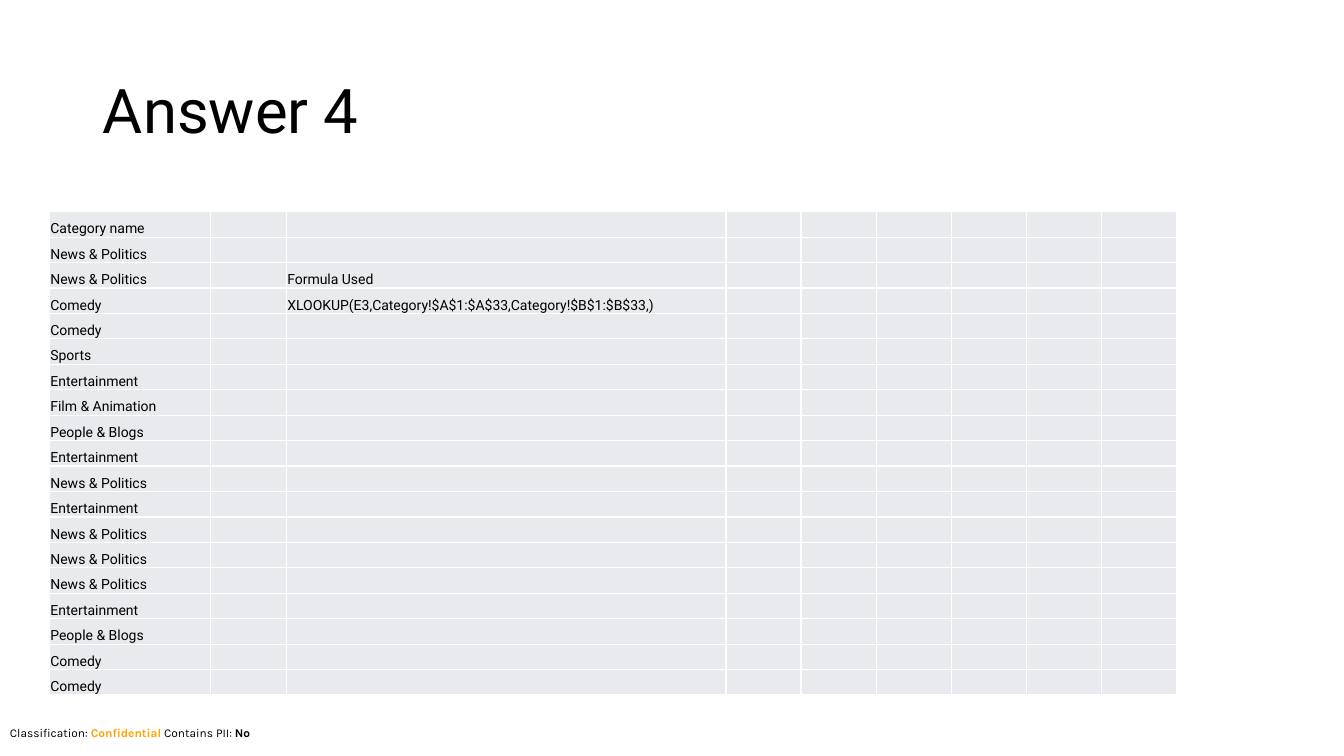
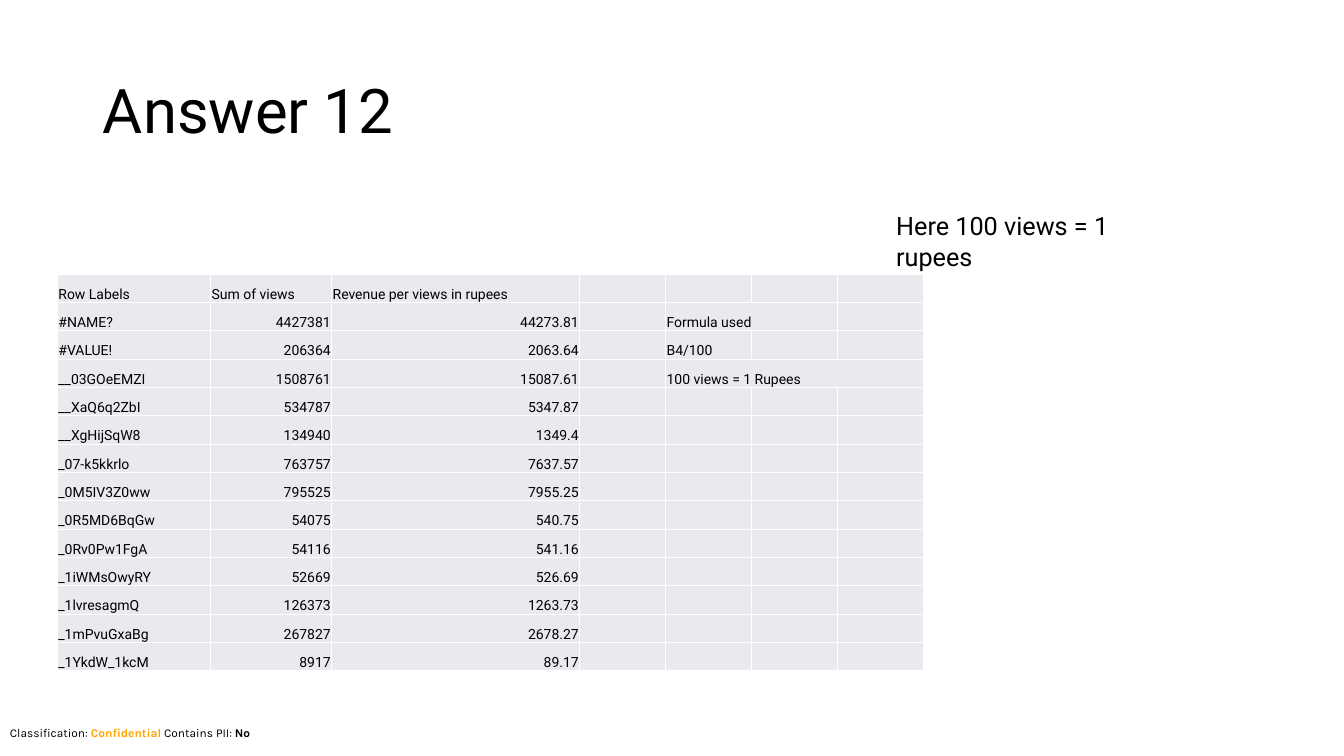
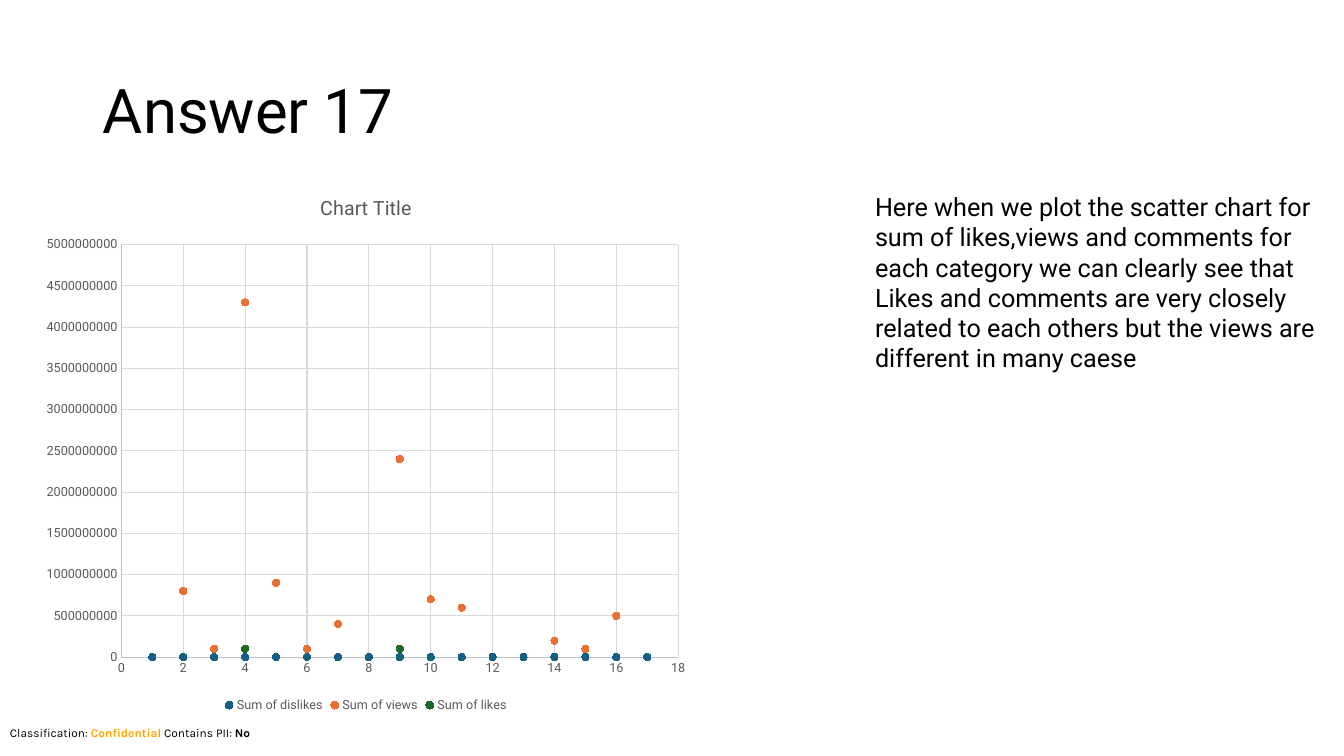
from lxml.etree import SubElement
from pptx import Presentation
from pptx.chart.data import XyChartData
from pptx.dml.color import RGBColor
from pptx.enum.chart import XL_CHART_TYPE, XL_LEGEND_POSITION, XL_MARKER_STYLE, XL_TICK_MARK
from pptx.enum.text import MSO_ANCHOR, MSO_AUTO_SIZE, PP_ALIGN
from pptx.oxml.ns import qn
from pptx.util import Inches, Pt

BLACK, WHITE, ORANGE = "000000", "FFFFFF", "FFA500"
CELL_FILL, CHART_TEXT, AXIS_LINE, GRID_LINE = "E8EAED", "595959", "BFBFBF", "D9D9D9"

CATEGORIES = [
    "News & Politics", "News & Politics", "Comedy", "Comedy", "Sports", "Entertainment",
    "Film & Animation", "People & Blogs", "Entertainment", "News & Politics",
    "Entertainment", "News & Politics", "News & Politics", "News & Politics",
    "Entertainment", "People & Blogs", "Comedy", "Comedy",
]
VIDEO_VIEWS = {
    "#NAME?": 4427381, "#VALUE!": 206364, "__03GOeEMZI": 1508761, "__XaQ6q2ZbI": 534787,
    "__XgHijSqW8": 134940, "_07-k5kkrlo": 763757, "_0M5IV3Z0ww": 795525,
    "_0R5MD6BqGw": 54075, "_0Rv0Pw1FgA": 54116, "_1iWMsOwyRY": 52669,
    "_1lvresagmQ": 126373, "_1mPvuGxaBg": 267827, "_1YkdW_1kcM": 8917,
}
MILLION = 10 ** 6
CHART_SERIES = [
    ("Sum of dislikes", "156082", [0] * 17),
    ("Sum of views", "E97132", [0, 800, 100, 4300, 900, 100, 400, 0, 2400, 700, 600,
                                0, 0, 200, 100, 500, 0]),
    ("Sum of likes", "196B24", [0, 0, 0, 100, 0, 0, 0, 0, 100] + [0] * 8),
]


def color(value):
    return RGBColor.from_string(value)


def set_format(target, values):
    for name, value in values.items():
        setattr(target, name, value)


class Deck:
    def __init__(self):
        self.presentation = Presentation()
        set_format(self.presentation, {"slide_width": Inches(13.33), "slide_height": Inches(7.5)})
        self.slide = None

    def style_font(self, font, size, shade=BLACK, name="Roboto", bold=False):
        set_format(font, {"size": Pt(size), "name": name, "bold": bold})
        font.color.rgb = color(shade)

    def style_line(self, line, shade, width=0.75):
        line.color.rgb = color(shade)
        line.width = Pt(width)

    def add_slide(self, title):
        self.slide = self.presentation.slides.add_slide(self.presentation.slide_layouts[5])
        shape = self.slide.shapes.title
        set_format(shape, {"left": Inches(0.92), "top": Inches(0.4),
                           "width": Inches(11.5), "height": Inches(1.45)})
        set_format(shape.text_frame, {"text": title, "word_wrap": True,
                                      "auto_size": MSO_AUTO_SIZE.NONE,
                                      "vertical_anchor": MSO_ANCHOR.MIDDLE})
        paragraph = shape.text_frame.paragraphs[0]
        set_format(paragraph, {"alignment": PP_ALIGN.LEFT, "line_spacing": 0.9})
        self.style_font(paragraph.runs[0].font, 44)
        self.add_footer()

    def add_footer(self):
        runs = [("Classification: ", BLACK, False), ("Confidential", ORANGE, True),
                (" Contains PII: ", BLACK, False), ("No", BLACK, True)]
        self.add_text(runs, 0, 7.15, 13.33, 0.24, size=8.5, name="Karla")

    def add_text(self, runs, left, top, width, height, size=18, name="Roboto"):
        shape = self.slide.shapes.add_textbox(
            Inches(left), Inches(top), Inches(width), Inches(height))
        set_format(shape.text_frame, {"word_wrap": True,
                                      "auto_size": MSO_AUTO_SIZE.SHAPE_TO_FIT_TEXT})
        for text, shade, bold in runs:
            run = shape.text_frame.paragraphs[0].add_run()
            run.text = text
            self.style_font(run.font, size, shade, name, bold)

    def add_note(self, text, left, top, width, height):
        self.add_text([(text, BLACK, False)], left, top, width, height)

    def style_cell(self, cell, text, alignment):
        set_format(cell, {"margin_left": Inches(0.01), "margin_right": Inches(0.01),
                          "margin_top": Inches(0.01), "margin_bottom": 0,
                          "vertical_anchor": MSO_ANCHOR.BOTTOM})
        paragraph = cell.text_frame.paragraphs[0]
        paragraph.alignment = alignment
        if text:
            run = paragraph.add_run()
            run.text = text
            self.style_font(run.font, 10)
        else:
            SubElement(paragraph._p, qn("a:endParaRPr"), sz="1000")
        properties = cell._tc.get_or_add_tcPr()
        for side in ("lnL", "lnR", "lnT", "lnB"):
            border = SubElement(properties, qn(f"a:{side}"), w=str(Pt(1)))
            fill = SubElement(border, qn("a:solidFill"))
            SubElement(fill, qn("a:srgbClr"), val=WHITE)
        cell.fill.solid()
        cell.fill.fore_color.rgb = color(CELL_FILL)

    def add_table(self, rows, left, top, width, height, first_widths, column_count,
                  number_columns=(), merges=()):
        table = self.slide.shapes.add_table(
            len(rows), column_count, Inches(left), Inches(top),
            Inches(width), Inches(height)).table
        set_format(table, {"first_row": False, "horz_banding": False})
        equal_width = (width - sum(first_widths)) / (column_count - len(first_widths))
        for index, column in enumerate(table.columns):
            column.width = Inches(
                first_widths[index] if index < len(first_widths) else equal_width)
        for row_index, row in enumerate(rows):
            table.rows[row_index].height = Inches(height / len(rows))
            for column_index in range(column_count):
                text = row[column_index] if column_index < len(row) else ""
                is_number = row_index > 0 and column_index in number_columns
                self.style_cell(table.cell(row_index, column_index), text,
                                PP_ALIGN.RIGHT if is_number else PP_ALIGN.LEFT)
        for row_index, first, last in merges:
            table.cell(row_index, first).merge(table.cell(row_index, last))

    def style_axis(self, axis, maximum, step):
        set_format(axis, {"minimum_scale": 0, "maximum_scale": maximum, "major_unit": step,
                          "has_major_gridlines": True, "major_tick_mark": XL_TICK_MARK.NONE,
                          "minor_tick_mark": XL_TICK_MARK.NONE})
        self.style_font(axis.tick_labels.font, 9, CHART_TEXT)
        self.style_line(axis.format.line, AXIS_LINE)
        self.style_line(axis.major_gridlines.format.line, GRID_LINE)

    def add_scatter(self, title, series_list, left, top, width, height):
        data = XyChartData()
        for name, _, values in series_list:
            series = data.add_series(name)
            for position, value in enumerate(values, 1):
                series.add_data_point(position, value * MILLION)
        chart = self.slide.shapes.add_chart(
            XL_CHART_TYPE.XY_SCATTER, Inches(left), Inches(top),
            Inches(width), Inches(height), data).chart
        self.style_font(chart.font, 10)
        chart.has_title = True
        chart.chart_title.text_frame.text = title
        self.style_font(chart.chart_title.text_frame.paragraphs[0].runs[0].font, 14, CHART_TEXT)
        chart.has_legend = True
        set_format(chart.legend, {"position": XL_LEGEND_POSITION.BOTTOM,
                                  "include_in_layout": False})
        self.style_font(chart.legend.font, 9, CHART_TEXT)
        self.style_axis(chart.category_axis, 18, 2)
        self.style_axis(chart.value_axis, 5000 * MILLION, 500 * MILLION)
        plot = chart.plots[0]
        plot.vary_by_categories = False
        for series, (_, shade, _) in zip(plot.series, series_list):
            series.smooth = False
            series.format.line.fill.background()
            set_format(series.marker, {"style": XL_MARKER_STYLE.CIRCLE, "size": 5})
            series.marker.format.fill.solid()
            series.marker.format.fill.fore_color.rgb = color(shade)
            self.style_line(series.marker.format.line, shade)


def main():
    deck = Deck()

    deck.add_slide("Answer 4")
    category_rows = [[name] for name in ["Category name"] + CATEGORIES]
    category_rows[2] += ["", "Formula Used"]
    category_rows[3] += ["", "XLOOKUP(E3,Category!$A$1:$A$33,Category!$B$1:$B$33,)"]
    deck.add_table(category_rows, 0.49, 2.1, 11.18, 4.8, [1.6, 0.75, 4.36], 9)

    deck.add_slide("Answer 12")
    deck.add_note("Here 100 views = 1 rupees", 8.79, 2.04, 2.92, 1.01)
    revenue_rows = [["Row Labels", "Sum of views", "Revenue per views in rupees"]]
    revenue_rows += [[label, str(views), str(views / 100)]
                     for label, views in VIDEO_VIEWS.items()]
    for index, text in enumerate(["Formula used", "B4/100", "100 views = 1 Rupees"], 1):
        revenue_rows[index] += ["", text]
    deck.add_table(revenue_rows, 0.57, 2.72, 8.59, 3.94, [1.52, 1.2, 2.46], 7,
                   number_columns=(1, 2), merges=[(1, 4, 5), (3, 4, 6)])

    deck.add_slide("Answer 17")
    deck.add_scatter("Chart Title", CHART_SERIES, 0.33, 1.73, 6.6, 5.38)
    deck.add_note("Here when we plot the scatter chart for sum of likes,views and comments for "
                  "each category we can clearly see that Likes and comments are very closely "
                  "related to each others but the views are different in many caese",
                  8.58, 1.85, 4.75, 1.92)

    deck.presentation.save("out.pptx")


if __name__ == "__main__":
    main()
